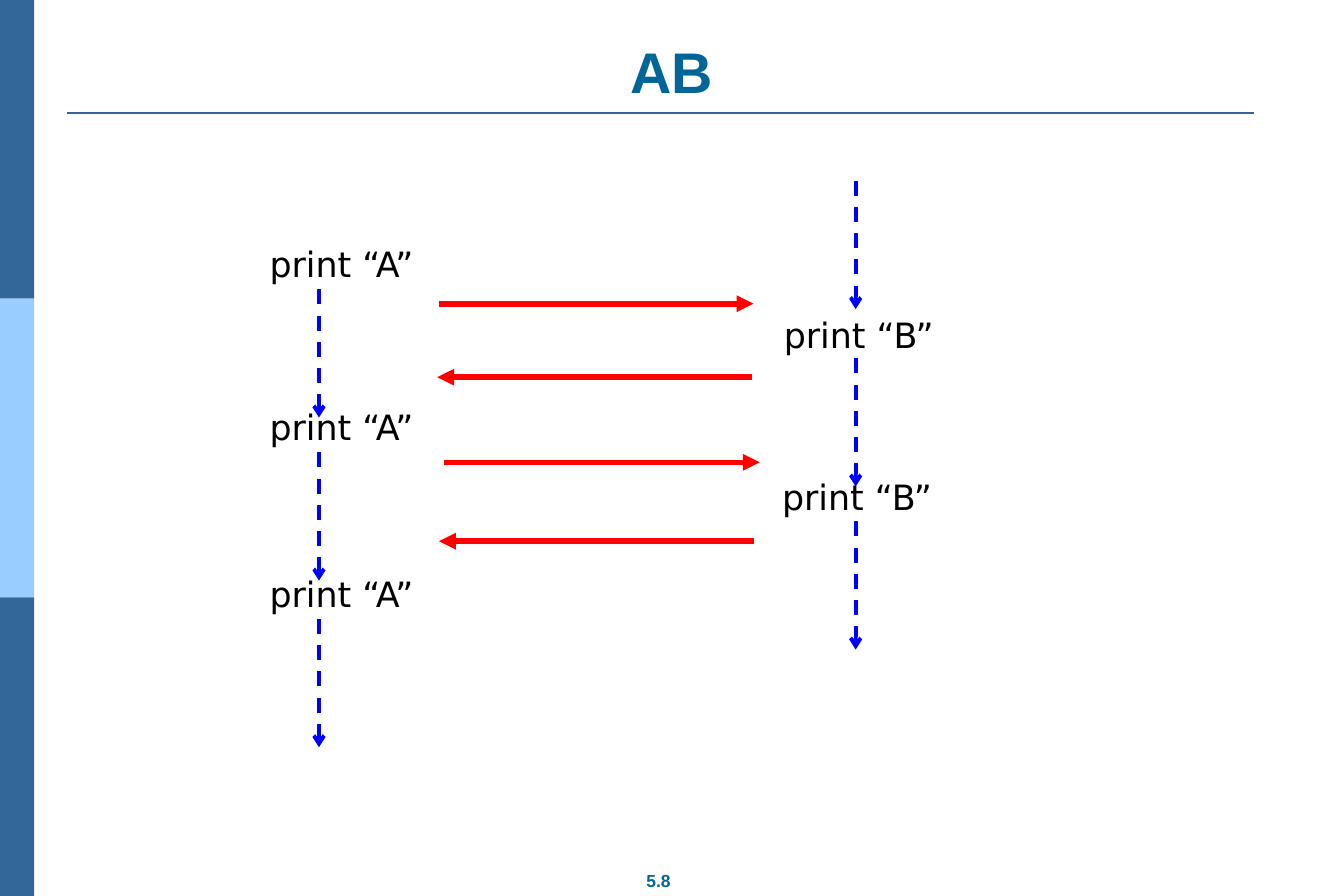
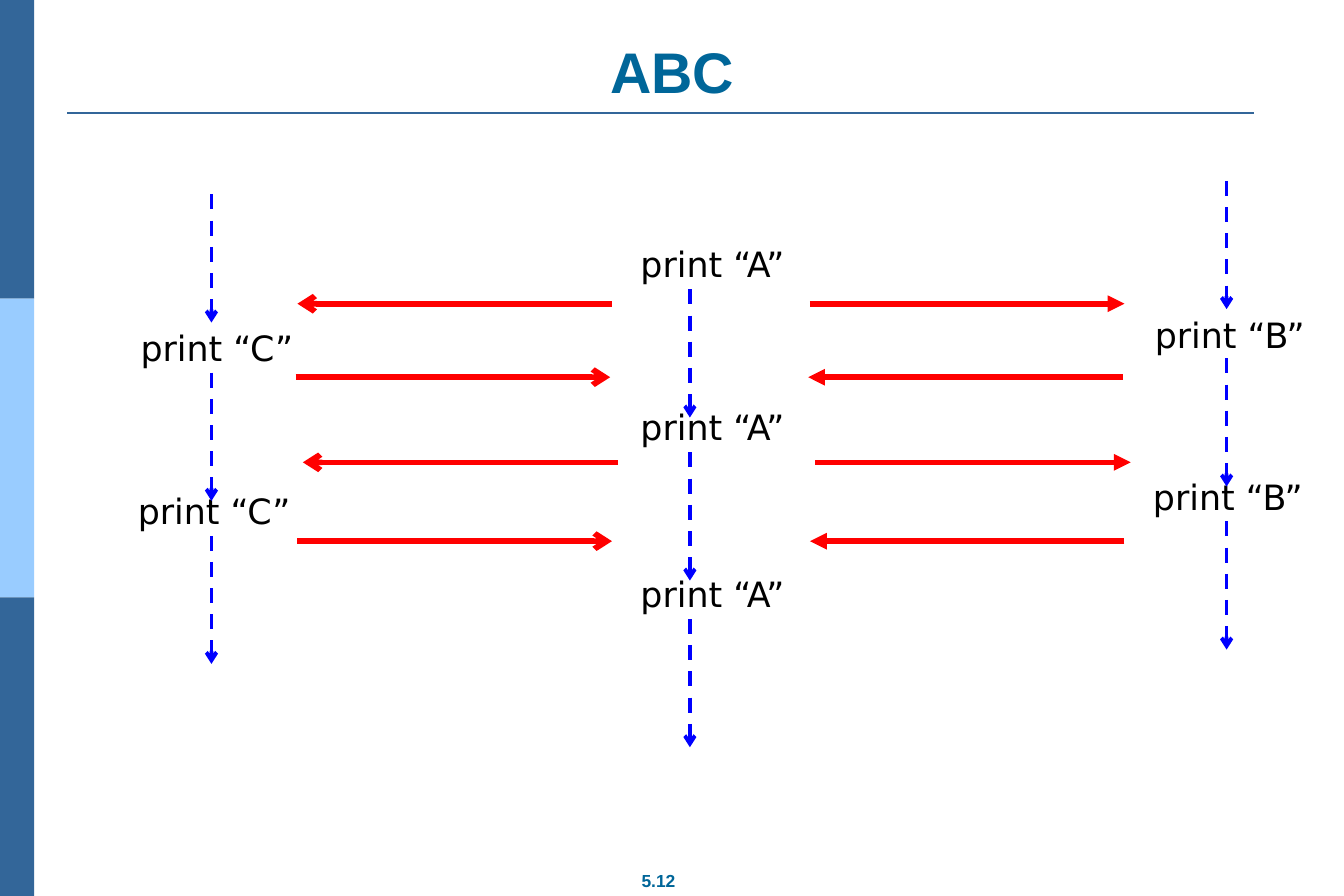
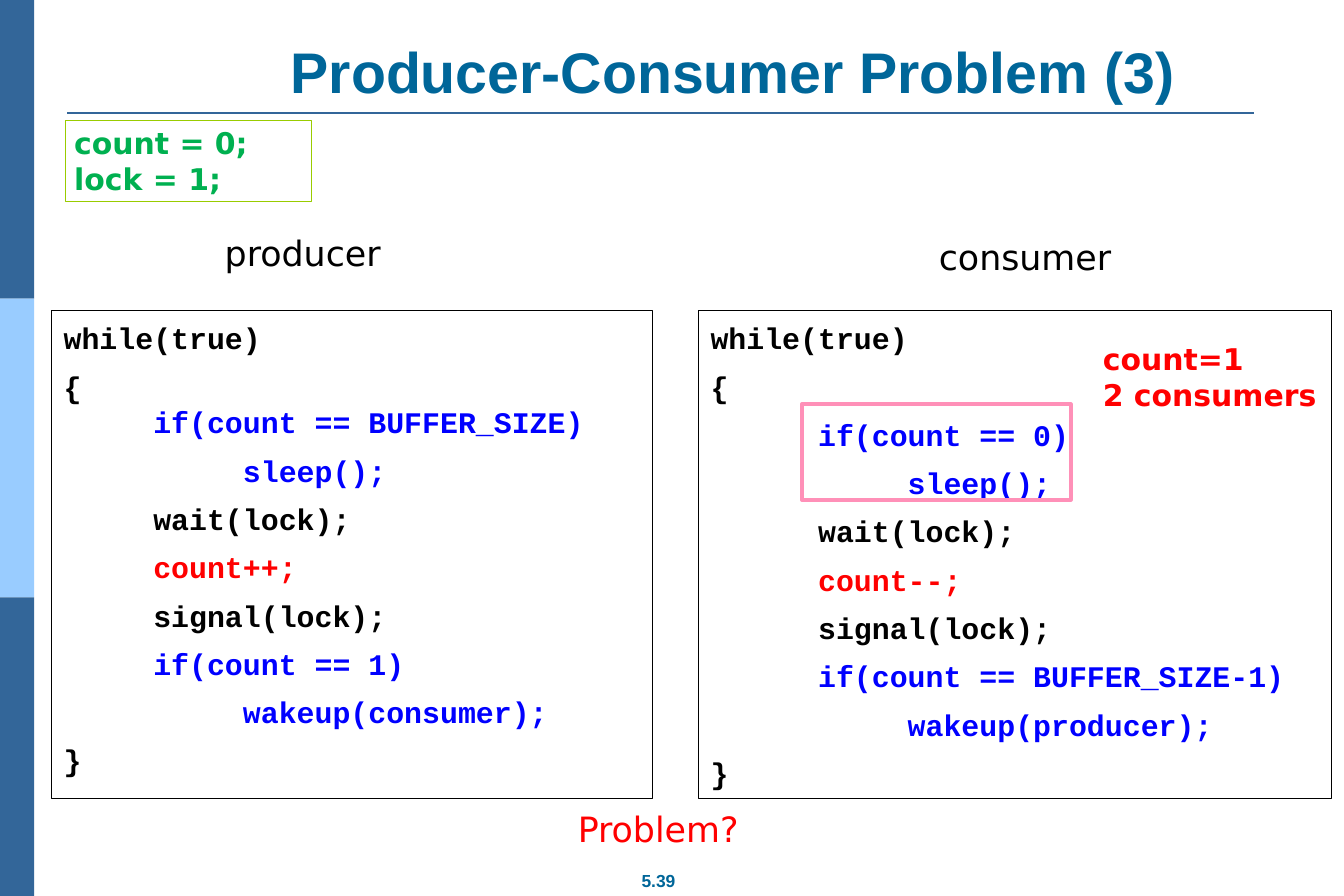
from lxml import etree
from pptx import Presentation
from pptx.dml.color import RGBColor
from pptx.enum.dml import MSO_LINE
from pptx.enum.shapes import MSO_CONNECTOR, MSO_SHAPE
from pptx.enum.text import MSO_ANCHOR, MSO_AUTO_SIZE, PP_ALIGN
from pptx.oxml.ns import qn
from pptx.util import Inches, Pt

STRAIGHT = MSO_CONNECTOR.STRAIGHT
RECTANGLE = MSO_SHAPE.RECTANGLE
DASH = MSO_LINE.DASH
TOP, BOTTOM = MSO_ANCHOR.TOP, MSO_ANCHOR.BOTTOM
LEFT, CENTER = PP_ALIGN.LEFT, PP_ALIGN.CENTER
NO_AUTOFIT = MSO_AUTO_SIZE.NONE

DARK_BAND = RGBColor(0x33, 0x66, 0x99)
LIGHT_BAND = RGBColor(0x99, 0xCC, 0xFF)
TITLE_BLUE = RGBColor(0x00, 0x66, 0x99)
BLACK = RGBColor(0x00, 0x00, 0x00)
RED = RGBColor(0xFF, 0x00, 0x00)
BLUE = RGBColor(0x00, 0x00, 0xFF)
GREEN = RGBColor(0x00, 0xB0, 0x50)
LIME = RGBColor(0x99, 0xCC, 0x00)
PINK = RGBColor(0xFF, 0x90, 0xB8)

HEADING_FONT, BODY_FONT, CODE_FONT = "Arial", "DejaVu Sans", "Courier New"
SLIDE_WIDTH, SLIDE_HEIGHT = 15, 10


def write_text(shape, lines, size, font=BODY_FONT, bold=False, align=LEFT,
               anchor=TOP, insets=(0.1, 0.05), gap=0, wrap=True):
    frame = shape.text_frame
    frame.word_wrap = wrap
    frame.auto_size = NO_AUTOFIT
    frame.vertical_anchor = anchor
    frame.margin_left = frame.margin_right = Inches(insets[0])
    frame.margin_top = frame.margin_bottom = Inches(insets[1])
    for index, runs in enumerate(lines):
        paragraph = frame.add_paragraph() if index else frame.paragraphs[0]
        paragraph.alignment = align
        if index and gap:
            paragraph.space_before = Pt(gap)
        for part in runs:
            if part is None:
                paragraph.add_line_break()
                continue
            run = paragraph.add_run()
            run.text, run.font.color.rgb = part
            run.font.size = Pt(size)
            run.font.name = font
            run.font.bold = bold


def draw_line(slide, start, end, color, width, dash=None, tip=None):
    line = slide.shapes.add_connector(STRAIGHT, *map(Inches, start + end))
    line.line.color.rgb = color
    line.line.width = Pt(width)
    if dash:
        line.line.dash_style = dash
    if tip:
        etree.SubElement(line.line._get_or_add_ln(), qn("a:tailEnd"), type=tip)
    etree.SubElement(line.element.spPr, qn("a:effectLst"))
    return line


prs = Presentation()
prs.slide_width = Inches(SLIDE_WIDTH)
prs.slide_height = Inches(SLIDE_HEIGHT)
layout = prs.slide_layouts[5]
heading = layout.placeholders[0]
heading.left, heading.top, heading.width, heading.height = map(
    Inches, (0.75, 0.4, 13.5, 0.84))

slides = []
for title, number in (("AB", "5.8"), ("ABC", "5.12"),
                      ("Producer-Consumer Problem (3)", "5.39")):
    slide = prs.slides.add_slide(layout)
    write_text(slide.shapes.title, [[(title, TITLE_BLUE)]], 46, HEADING_FONT,
               True, CENTER, BOTTOM, (0.14, 0.07))
    page = slide.shapes.add_textbox(*map(Inches, (7, 9.64, 0.7, 0.38)))
    write_text(page, [[(number, TITLE_BLUE)]], 14, HEADING_FONT, True, CENTER,
               insets=(0.14, 0.07), wrap=False)
    slides.append(slide)
two_threads, three_threads, problem = slides

shared = [draw_line(two_threads, (0.75, 1.26), (14, 1.26), DARK_BAND, 1.5)]
band_height = SLIDE_HEIGHT / 3
for row, color in enumerate((DARK_BAND, LIGHT_BAND, DARK_BAND)):
    band = two_threads.shapes.add_shape(
        RECTANGLE, *map(Inches, (0, row * band_height, 0.38, band_height)))
    band.shadow.inherit = False
    band.fill.solid()
    band.fill.fore_color.rgb = color
    band.line.fill.background()
    shared.append(band)
for part in shared:
    layout.shapes.element.append(part.element)

MESSAGES = ((4.9, 8.41, 3.39), (8.39, 4.88, 4.21),
            (4.96, 8.48, 5.16), (8.41, 4.9, 6.04))
THREAD_A = ("A", 3.56, (3.23, 5.05, 6.91),
            ((2.91, 2.66), (2.91, 4.48), (2.91, 6.34)))
THREAD_B = ("B", 9.55, (2.02, 4, 5.82), ((8.65, 3.45), (8.63, 5.26)))
THREAD_C = ("C", -1.78, (2.17, 4.16, 5.98), ((-2.67, 3.6), (-2.7, 5.42)))
STEP = 1.43
SHIFT = 4.14
C_SHIFT = -1.58

for slide, shift, threads in (
        (two_threads, 0, (THREAD_A, THREAD_B)),
        (three_threads, SHIFT, (THREAD_A, THREAD_B, THREAD_C))):
    for letter, x, starts, labels in threads:
        for left, top in labels:
            left += shift
            width = min(2.79, SLIDE_WIDTH - left)
            label = slide.shapes.add_textbox(
                *map(Inches, (left, top, width, 0.57)))
            write_text(label, [[(f"print “{letter}”", BLACK)]], 28)
        for y in starts:
            draw_line(slide, (x + shift, y), (x + shift, y + STEP), BLUE, 3,
                      DASH, "arrow")
    for start, end, y in MESSAGES:
        draw_line(slide, (start + shift, y), (end + shift, y), RED, 4.5,
                  tip="triangle")

for end, start, y in MESSAGES:
    draw_line(three_threads, (start + C_SHIFT, y), (end + C_SHIFT, y), RED,
              4.5, tip="arrow")

problem_title = problem.shapes.title
problem_title.left, problem_title.top, problem_title.width, problem_title.height = map(
    Inches, (2.1, 0.4, 12.15, 0.84))

producer_code = [
    [("while(true)", BLACK)],
    [("{", BLACK), None, ("     if(count == BUFFER_SIZE)", BLUE)],
    [("          sleep();", BLUE)],
    [("     wait(lock);", BLACK)],
    [("     count++;", RED)],
    [("     signal(lock);", BLACK)],
    [("     if(count == 1)", BLUE)],
    [("          wakeup(consumer);", BLUE)],
    [("}", BLACK)],
]
consumer_code = [
    [("while(true)", BLACK)],
    [("{", BLACK)],
    [("      if(count == 0)", BLUE)],
    [("           sleep();", BLUE)],
    [("      wait(lock);", BLACK)],
    [("      count--;", RED)],
    [("      signal(lock);", BLACK)],
    [("      if(count == BUFFER_SIZE-1)", BLUE)],
    [("           wakeup(producer);", BLUE)],
    [("}", BLACK)],
]

frames = []
for bounds, color, weight in (
        ((0.57, 3.47, 6.71, 5.44), BLACK, 0.75),
        ((7.79, 3.47, 7.07, 5.44), BLACK, 0.75),
        ((0.73, 1.34, 2.75, 0.91), LIME, 0.75),
        ((8.95, 4.51, 3, 1.07), PINK, 3)):
    frame = problem.shapes.add_shape(RECTANGLE, *map(Inches, bounds))
    frame.shadow.inherit = False
    frame.fill.background()
    frame.line.color.rgb = color
    frame.line.width = Pt(weight)
    frames.append(frame)

for frame, code in zip(frames, (producer_code, consumer_code)):
    write_text(frame, code, 24, CODE_FONT, True, insets=(0.14, 0.1), gap=10)
write_text(frames[2], [[("count = 0;", GREEN)], [("lock = 1;", GREEN)]], 24,
           bold=True)

for bounds, lines, color, size, bold in (
        ((2.41, 2.54, 3.35, 0.57), ("producer",), BLACK, 28, False),
        ((10.38, 2.58, 3.35, 0.57), ("consumer",), BLACK, 28, False),
        ((6.35, 8.97, 4.21, 0.57), ("Problem?",), RED, 28, False),
        ((12.21, 3.75, 2.65, 0.91), ("count=1", "2 consumers"), RED, 24, True)):
    caption = problem.shapes.add_textbox(*map(Inches, bounds))
    write_text(caption, [[(line, color)] for line in lines], size, bold=bold)

prs.save("out.pptx")
